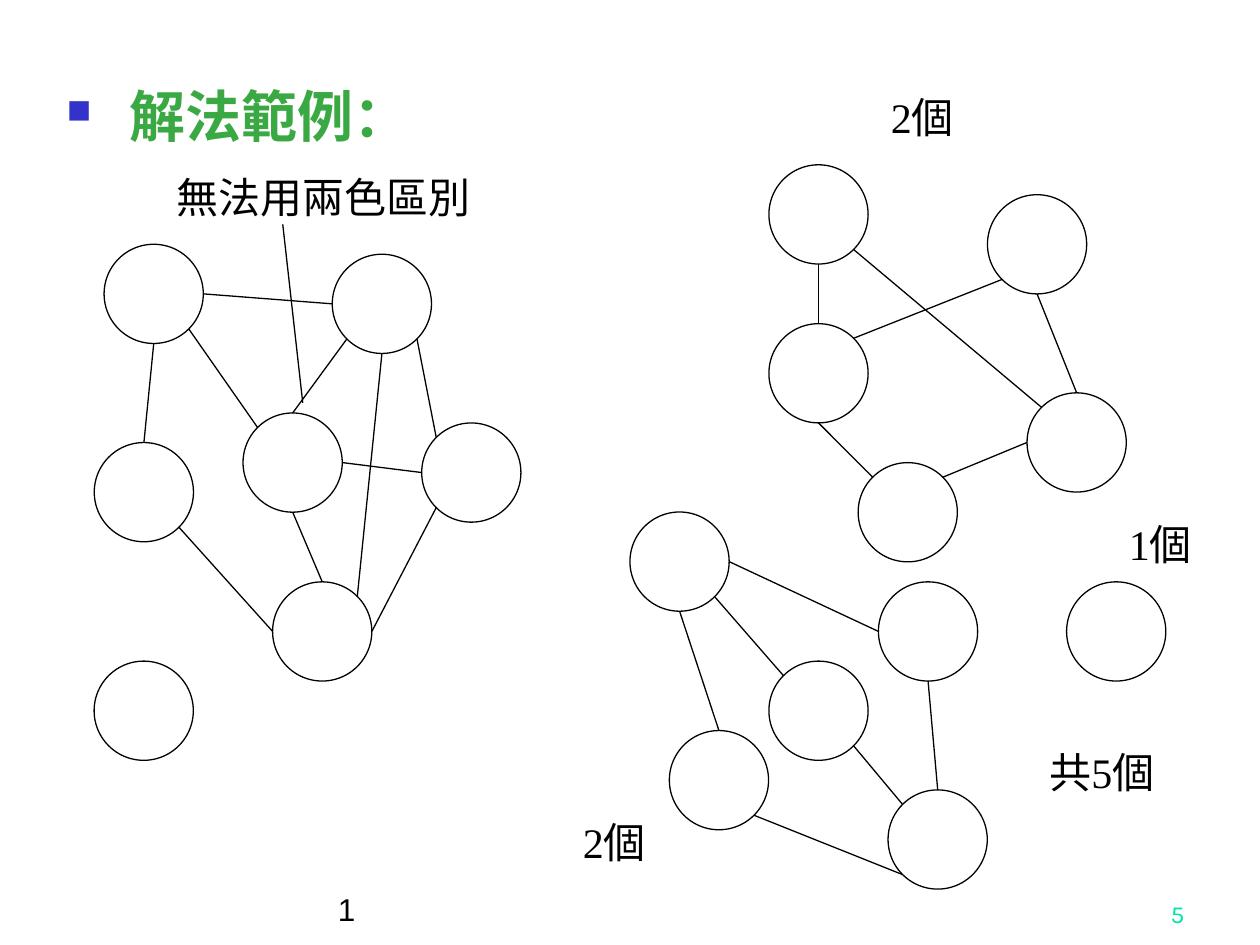
from math import cos, radians, sin

from lxml import etree
from pptx import Presentation
from pptx.dml.color import RGBColor
from pptx.enum.shapes import MSO_CONNECTOR, MSO_SHAPE
from pptx.enum.text import MSO_ANCHOR, MSO_AUTO_SIZE, PP_ALIGN
from pptx.oxml.ns import qn
from pptx.util import Pt

OVAL = MSO_SHAPE.OVAL
STRAIGHT = MSO_CONNECTOR.STRAIGHT
TOP, BOTTOM = MSO_ANCHOR.TOP, MSO_ANCHOR.BOTTOM
LEFT, RIGHT = PP_ALIGN.LEFT, PP_ALIGN.RIGHT
GROW, FIXED = MSO_AUTO_SIZE.SHAPE_TO_FIT_TEXT, MSO_AUTO_SIZE.NONE

COLORS = {"ink": "000000", "node": "FFFFFF", "title": "3BA943",
          "bullet": "3333CC", "page": "00E4A8"}
SERIF = "Times New Roman"
SIZE = 56.7  # node diameter
ANGLES = {"E": 0, "SE": 45, "S": 90, "SW": 135,
          "W": 180, "NW": 225, "N": 270, "NE": 315}

# Left and top of each node
NODES = {
    # conflict graph on the left
    "A": (59.5, 139.6), "B": (189.9, 145.3), "C": (53.9, 252.9),
    "D": (138.9, 236), "E": (241, 241.7), "F": (155.8, 332.5),
    "G": (53.8, 377.8),
    # two-colour graph at the top right
    "H": (439.4, 94.2), "I": (564.3, 111.3), "J": (439.4, 185),
    "K": (490.4, 264.4), "L": (586.9, 224.5),
    # two-colour graph at the bottom, and a lone node
    "M": (360, 292.6), "N": (502, 332.5), "O": (439.4, 377.8),
    "P": (382.5, 417.5), "Q": (507.5, 451.4), "R": (609.5, 332.5),
}
# Node and side at each end
EDGES = """
A S C N, A SE D NW, A E B W, C SE F W, D S F N,
B SE E NW, E W D E, B S F NE, B SW D N, E SW F E,
H S J N, K NW J S, J NE I SW, K NE L W, I S L N, H SE L NW,
M SE O NW, M E N W, M S P N, N S Q N, O SE Q NW, P SE Q SW
"""
# Text, left, top, width, height
LABELS = [
    ("無法用兩色區別", 93.6, 94.2, 193, 36.3),
    ("2個", 502, 49, 56.7, 36.3),
    ("2個", 326, 463, 56.7, 36.3),
    ("1個", 638, 292.6, 56.7, 36.3),
    ("共5個", 592.5, 423.2, 79.4, 65),
]


def color(name):
    return RGBColor.from_string(COLORS[name])


def rim(node, side):
    """Point on the rim of a node."""
    x, y = NODES[node]
    turn, r = radians(ANGLES[side]), SIZE / 2
    return x + r + r * cos(turn), y + r + r * sin(turn)


class Sheet:
    def __init__(self, slide, width=0.75):
        self.slide = slide
        self.width = width

    def node(self, x, y, alpha=None):
        shape = self.slide.shapes.add_shape(
            OVAL, Pt(x), Pt(y), Pt(SIZE), Pt(SIZE))
        shape.shadow.inherit = False
        shape.fill.solid()
        shape.fill.fore_color.rgb = color("node")
        shape.line.color.rgb = color("ink")
        shape.line.width = Pt(self.width)
        if alpha:
            tint = shape.fill._xPr.find(".//" + qn("a:srgbClr"))
            etree.SubElement(tint, qn("a:alpha"), val=str(alpha * 1000))

    def line(self, start, end):
        x1, y1 = start
        x2, y2 = end
        link = self.slide.shapes.add_connector(
            STRAIGHT, Pt(x1), Pt(y1), Pt(x2), Pt(y2))
        link.line.color.rgb = color("ink")
        link.line.width = Pt(self.width)
        etree.SubElement(link._element.spPr, qn("a:effectLst"))

    def text(self, words, x, y, w, h, size=24, face=SERIF, tone="ink",
             bold=False, align=LEFT, anchor=TOP, fit=GROW, wrap=True,
             bullet=False):
        box = self.slide.shapes.add_textbox(Pt(x), Pt(y), Pt(w), Pt(h))
        frame = box.text_frame
        frame.word_wrap = wrap
        frame.auto_size = fit
        frame.vertical_anchor = anchor
        para = frame.paragraphs[0]
        para.text = words
        para.alignment = align
        if bullet:
            self.bullet(para)
        font = para.font
        font.size = Pt(size)
        font.name = face
        font.bold = bold
        font.color.rgb = color(tone)

    def bullet(self, para):
        props = para._p.get_or_add_pPr()
        props.set("marL", str(Pt(36)))
        props.set("indent", str(Pt(-36)))
        tint = etree.SubElement(props, qn("a:buClr"))
        etree.SubElement(tint, qn("a:srgbClr"), val=COLORS["bullet"])
        etree.SubElement(props, qn("a:buSzPct"), val="60000")
        etree.SubElement(props, qn("a:buChar"), char="■")


def main():
    deck = Presentation()
    deck.slide_width, deck.slide_height = Pt(720), Pt(540)
    sheet = Sheet(deck.slides.add_slide(deck.slide_layouts[6]))

    # Graphs
    for name, (x, y) in NODES.items():
        sheet.node(x, y, alpha=90 if name == "J" else None)
    for edge in EDGES.split(","):
        a, out, b, into = edge.split()
        sheet.line(rim(a, out), rim(b, into))

    # Pointer from the remark to the odd cycle
    sheet.line((161.6, 128.2), (173, 230.2))

    # Title and labels
    sheet.text("解法範例：", 31, 43.2, 210, 46, size=32, tone="title",
               bold=True, wrap=False, bullet=True)
    for label in LABELS:
        sheet.text(*label)

    # Footer and page number
    sheet.text("1", 186, 498, 390, 36, size=18, face="Arial",
               anchor=BOTTOM, fit=FIXED)
    sheet.text("5", 534, 498, 150, 36, size=14, face="Karla", tone="page",
               align=RIGHT, anchor=BOTTOM, fit=FIXED)

    deck.save("out.pptx")


if __name__ == "__main__":
    main()
